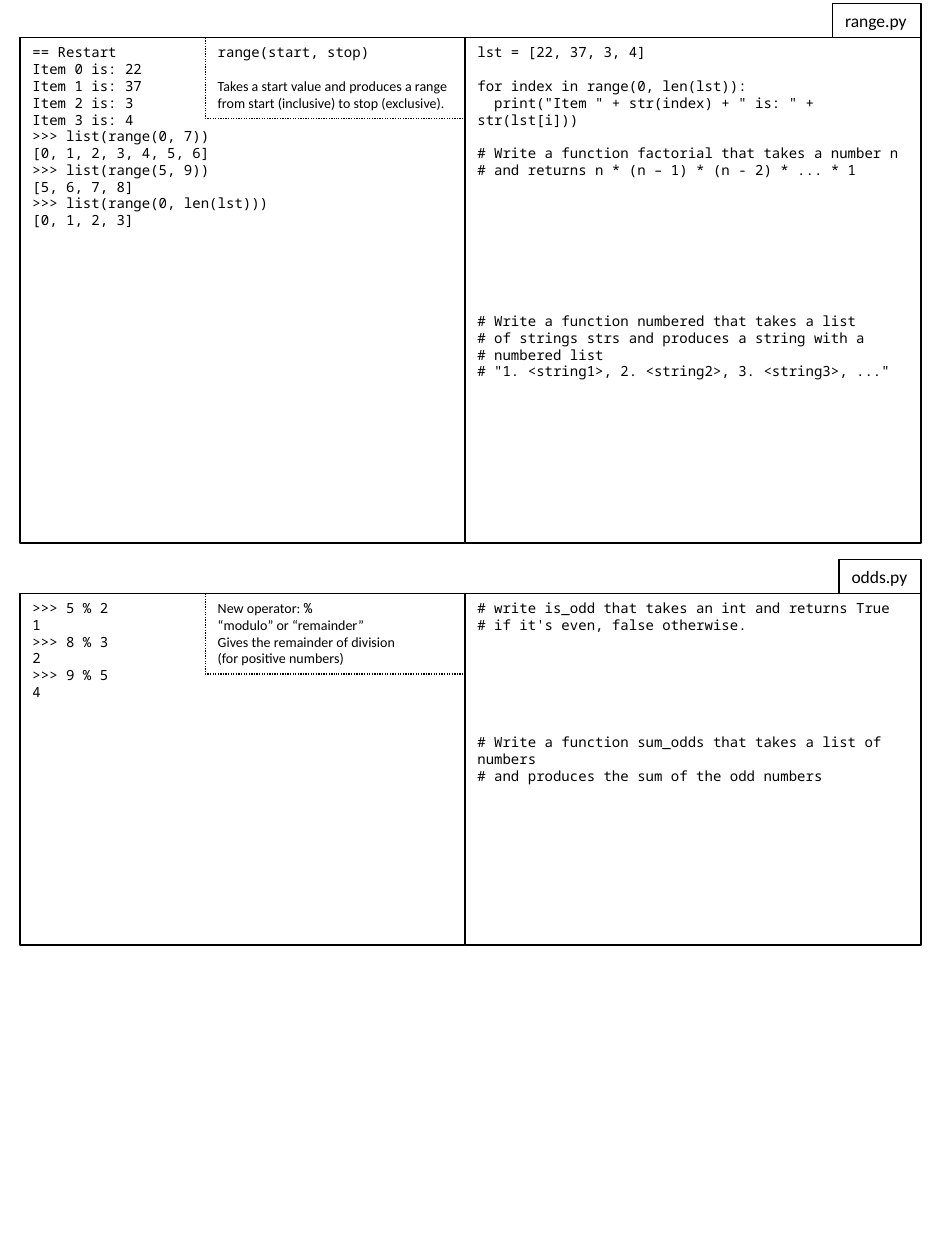
from dataclasses import dataclass

from pptx import Presentation
from pptx.dml.color import RGBColor
from pptx.enum.dml import MSO_LINE
from pptx.enum.text import MSO_ANCHOR, MSO_AUTO_SIZE
from pptx.util import Inches, Pt

DOTTED = MSO_LINE.ROUND_DOT
TOP = MSO_ANCHOR.TOP
NO_FIT = MSO_AUTO_SIZE.NONE

COLORS = {"ink": "000000"}
MONO, SANS = "Noto Sans Mono", "Calibri"
SLIDE_W, SLIDE_H = Inches(7.5), Inches(10)
COLS, ROWS = 750, 1000
LEFT, NOTE, MIDDLE, RIGHT = 16, 163, 369, 731
TAB_ROWS, NOTE_ROWS = 27, 64
LINE_PITCH = 9.6


@dataclass
class Line:
    text: str
    font: str = MONO
    blank_above: int = 0
    code: str = ""
    size: int = 8


@dataclass
class Box:
    col: int
    row: int
    cols: int
    rows: int
    lines: list[Line]
    dotted: bool = False
    wrap: bool = True


@dataclass
class Section:
    filename: str
    tab_cols: int
    row: int
    rows: int
    shell: list[Line]
    note: list[Line]
    editor: list[Line]


SECTIONS = [
    Section(
        "range.py", 70, 30, 401,
        [Line(t) for t in (
            "== Restart", "Item 0 is: 22", "Item 1 is: 37", "Item 2 is: 3",
            "Item 3 is: 4", ">>> list(range(0, 7))", "[0, 1, 2, 3, 4, 5, 6]",
            ">>> list(range(5, 9))", "[5, 6, 7, 8]",
            ">>> list(range(0, len(lst)))", "[0, 1, 2, 3]")],
        [Line("range(start, stop)"),
         Line("Takes a start value and produces a range from start "
              "(inclusive) to stop (exclusive).", SANS, 1)],
        [Line("lst = [22, 37, 3, 4]"),
         Line("for index in range(0, len(lst)):", blank_above=1),
         Line('  print("Item " + str(index) + " is: " + str(lst[i]))'),
         Line("# Write a function factorial that takes a number n", blank_above=1),
         Line("# and returns n * (n – 1) * (n - 2) * ... * 1"),
         Line("# Write a function numbered that takes a list", blank_above=8),
         Line("# of strings strs and produces a string with a"),
         Line("# numbered list"),
         Line('# "1. <string1>, 2. <string2>, 3. <string3>, ..."')],
    ),
    Section(
        "odds.py", 65, 471, 279,
        [Line(t) for t in (">>> 5 % 2", "1", ">>> 8 % 3", "2", ">>> 9 % 5", "4")],
        [Line("New operator: ", SANS, code="%"),
         Line("“modulo” or “remainder”", SANS),
         Line("Gives the remainder of division", SANS),
         Line("(for positive numbers)", SANS)],
        [Line("# write is_odd that takes an int and returns True"),
         Line("# if it's even, false otherwise."),
         Line("# Write a function sum_odds that takes a list of numbers", blank_above=6),
         Line("# and produces the sum of the odd numbers")],
    ),
]


def add_run(p, text: str, font: str, size: int) -> None:
    r = p.add_run()
    r.text = text
    for name, value in {"name": font, "size": Pt(size)}.items():
        setattr(r.font, name, value)
    r.font.color.rgb = RGBColor.from_string(COLORS["ink"])


def draw_box(s, box: Box) -> None:
    x, y = SLIDE_W / COLS, SLIDE_H / ROWS
    sp = s.shapes.add_textbox(int(box.col * x), int(box.row * y),
                              int(box.cols * x), int(box.rows * y))
    sp.line.color.rgb = RGBColor.from_string(COLORS["ink"])
    sp.line.width = Pt(0.75)
    if box.dotted:
        sp.line.dash_style = DOTTED
    tf = sp.text_frame
    frame = {"word_wrap": box.wrap, "auto_size": NO_FIT, "vertical_anchor": TOP}
    for name, value in frame.items():
        setattr(tf, name, value)
    for i, line in enumerate(box.lines):
        p = tf.add_paragraph() if i else tf.paragraphs[0]
        if line.blank_above:
            p.space_before = Pt(line.blank_above * LINE_PITCH)
        add_run(p, line.text, line.font, line.size)
        if line.code:
            add_run(p, line.code, MONO, line.size)


def draw_section(s, sec: Section) -> None:
    tab = [Line(sec.filename, SANS, size=10)]
    for box in (
        Box(LEFT, sec.row, MIDDLE - LEFT, sec.rows, sec.shell),
        Box(MIDDLE, sec.row, RIGHT - MIDDLE, sec.rows, sec.editor),
        Box(NOTE, sec.row, MIDDLE - NOTE, NOTE_ROWS, sec.note, dotted=True),
        Box(RIGHT - sec.tab_cols, sec.row - TAB_ROWS, sec.tab_cols, TAB_ROWS,
            tab, wrap=False),
    ):
        draw_box(s, box)


def main() -> None:
    prs = Presentation()
    prs.slide_width, prs.slide_height = SLIDE_W, SLIDE_H
    s = prs.slides.add_slide(prs.slide_layouts[6])
    for sec in SECTIONS:
        draw_section(s, sec)
    prs.save("out.pptx")


if __name__ == "__main__":
    main()
